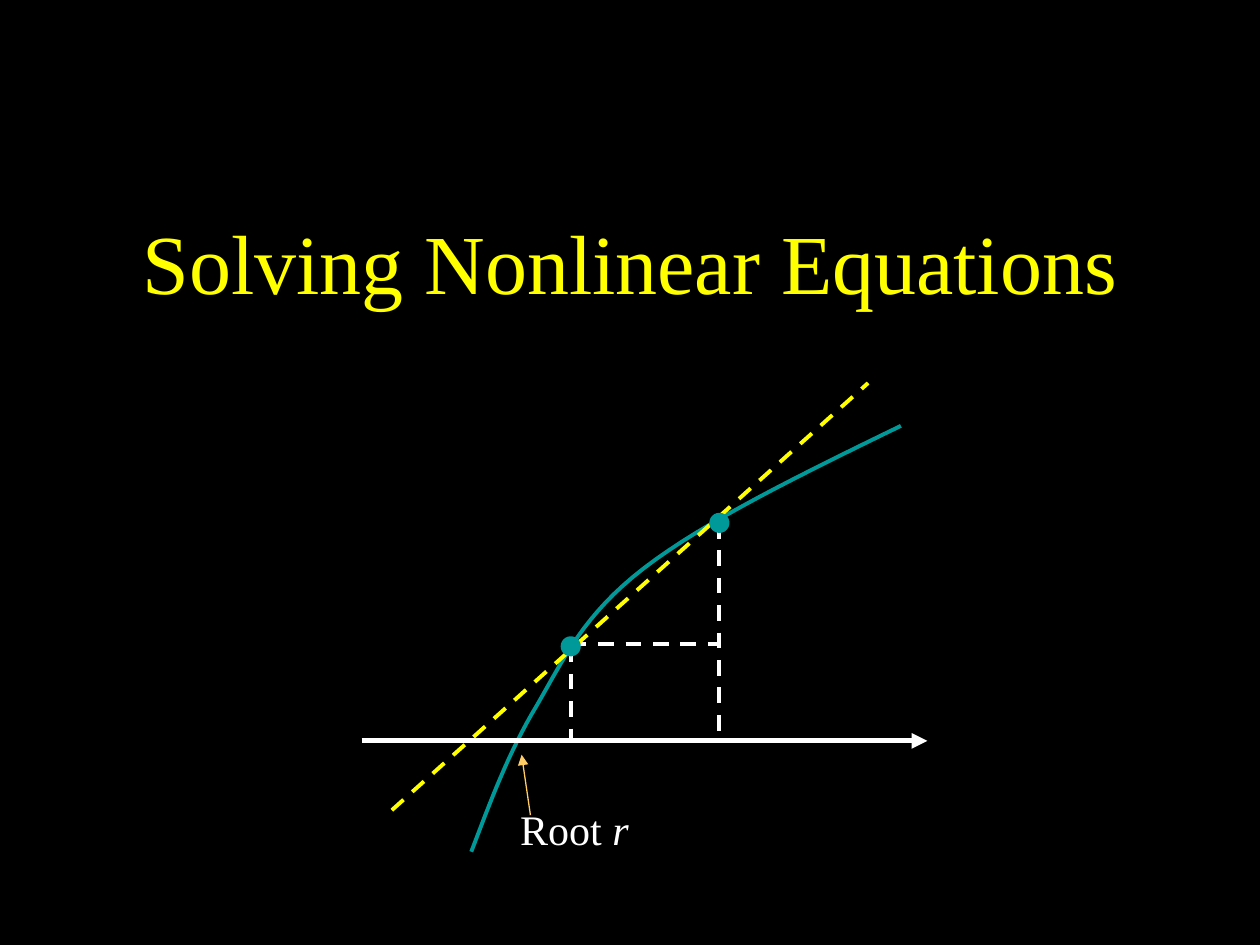
from lxml import etree
from pptx import Presentation
from pptx.dml.color import RGBColor
from pptx.enum.dml import MSO_LINE
from pptx.enum.shapes import MSO_CONNECTOR, MSO_SHAPE
from pptx.enum.text import MSO_ANCHOR, MSO_AUTO_SIZE, PP_ALIGN
from pptx.oxml.ns import qn
from pptx.util import Inches, Pt

DASH = MSO_LINE.DASH
STRAIGHT = MSO_CONNECTOR.STRAIGHT
OVAL = MSO_SHAPE.OVAL
FONT = "Times New Roman"
BLACK, WHITE, YELLOW = "000000", "FFFFFF", "FFFF00"
TEAL, ORANGE = "009999", "FFCC66"

TITLE = "Solving Nonlinear Equations"
TITLE_BOX = (0.75, 1.07, 8.5, 2)
LABEL = [("Root ", False), ("r", True)]
LABEL_BOX = (4.03, 6.33, 1.06, 0.5)

X1, X2, AXIS_Y = 4.53, 5.71, 5.88
Y1, Y2 = 5.13, 4.15
DOT = 0.16
CURVE_START = (3.74, 6.76)
CURVE = [
    ((3.89, 6.37), (4.03, 5.98), (4.26, 5.6)),
    ((4.48, 5.22), (4.63, 4.88), (5.11, 4.51)),
    ((5.59, 4.14), (6.37, 3.76), (7.15, 3.38)),
]
STEPS = 16
SECANT = dict(start=(3.11, 6.43), end=(6.89, 3.04), color=YELLOW, dash=DASH)
GUIDES = [
    dict(start=(X1, Y1), end=(X1, AXIS_Y), dash=DASH),
    dict(start=(X2, Y2), end=(X2, AXIS_Y), dash=DASH),
]
STEP_GUIDE = dict(start=(X1, 5.11), end=(X2, 5.11), dash=DASH)
ARROWS = [
    dict(start=(4.21, 6.47), end=(4.14, 5.99), color=ORANGE, width=0.75, arrow=True),
    dict(start=(2.87, AXIS_Y), end=(7.36, AXIS_Y), width=3, arrow=True),
]


def rgb(value):
    return RGBColor.from_string(value)


def inches(values):
    return [Inches(v) for v in values]


def style_line(line, color, width, dash=None):
    line.color.rgb = rgb(color)
    line.width = Pt(width)
    if dash:
        line.dash_style = dash


def add_line(s, start, end, color=WHITE, width=2.25, dash=None, arrow=False):
    c = s.shapes.add_connector(STRAIGHT, *inches(start + end))
    style_line(c.line, color, width, dash)
    if arrow:
        ln = c.line._get_or_add_ln()
        etree.SubElement(ln, qn("a:tailEnd"), type="triangle")
    etree.SubElement(c._element.spPr, qn("a:effectLst"))


def bezier(p0, p1, p2, p3, t):
    u = 1 - t
    return tuple(
        u**3 * a + 3 * u * u * t * b + 3 * u * t * t * c + t**3 * d
        for a, b, c, d in zip(p0, p1, p2, p3)
    )


def add_curve(s):
    points, start = [], CURVE_START
    for c1, c2, end in CURVE:
        points += [bezier(start, c1, c2, end, i / STEPS) for i in range(1, STEPS + 1)]
        start = end
    fb = s.shapes.build_freeform(*inches(CURVE_START))
    fb.add_line_segments([inches(point) for point in points], close=False)
    sp = fb.convert_to_shape()
    sp.shadow.inherit = False
    sp.fill.background()
    style_line(sp.line, TEAL, 2.25)


def add_dot(s, x, y):
    sp = s.shapes.add_shape(OVAL, *inches((x - DOT / 2, y - DOT / 2, DOT, DOT)))
    sp.shadow.inherit = False
    sp.fill.solid()
    sp.fill.fore_color.rgb = rgb(TEAL)
    sp.line.fill.background()


def add_run(p, text, color, **fmt):
    r = p.add_run()
    r.text = text
    r.font.color.rgb = rgb(color)
    for name, value in dict(name=FONT, **fmt).items():
        setattr(r.font, name, value)


def add_title(s):
    sp = s.shapes.title
    sp.left, sp.top, sp.width, sp.height = inches(TITLE_BOX)
    tf = sp.text_frame
    tf.vertical_anchor = MSO_ANCHOR.MIDDLE
    p = tf.paragraphs[0]
    p.alignment = PP_ALIGN.CENTER
    add_run(p, TITLE, YELLOW, size=Pt(48))


def add_label(s):
    tf = s.shapes.add_textbox(*inches(LABEL_BOX)).text_frame
    tf.word_wrap = False
    tf.auto_size = MSO_AUTO_SIZE.SHAPE_TO_FIT_TEXT
    for text, italic in LABEL:
        add_run(tf.paragraphs[0], text, WHITE, size=Pt(24), italic=italic)


def main():
    prs = Presentation()
    prs.slide_width, prs.slide_height = Inches(10), Inches(7.5)
    s = prs.slides.add_slide(prs.slide_layouts[0])
    s.background.fill.solid()
    s.background.fill.fore_color.rgb = rgb(BLACK)
    subtitle = s.placeholders[1]._element
    subtitle.getparent().remove(subtitle)

    add_title(s)
    add_line(s, **STEP_GUIDE)
    add_curve(s)
    for line in [SECANT] + GUIDES:
        add_line(s, **line)
    for x, y in [(X2, Y2), (X1, Y1)]:
        add_dot(s, x, y)
    add_label(s)
    for arrow in ARROWS:
        add_line(s, **arrow)
    prs.save("out.pptx")


if __name__ == "__main__":
    main()
